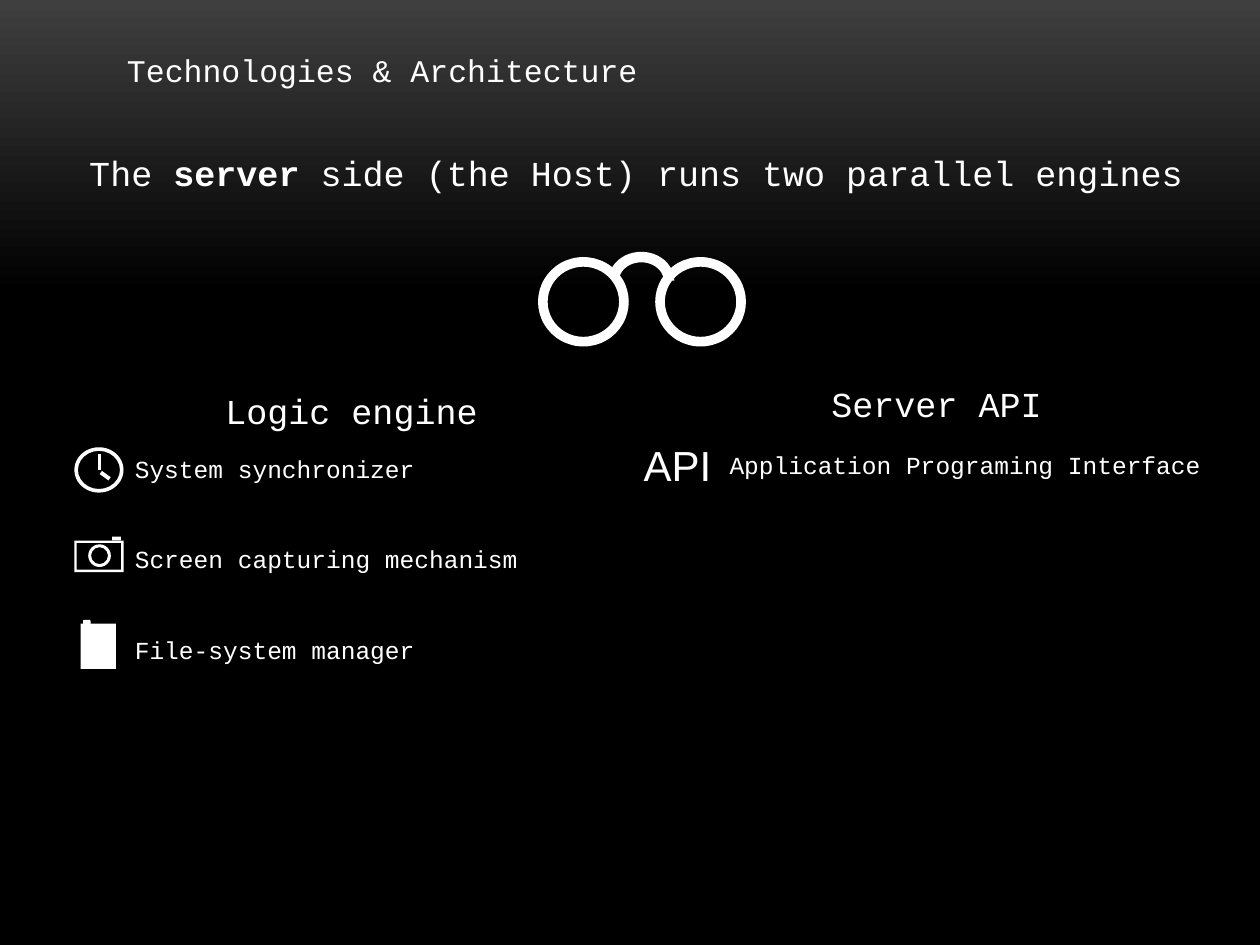
from pptx import Presentation
from pptx import util as u
from pptx.dml.color import RGBColor
from pptx.enum import shapes, text
from pptx.oxml.ns import qn
from lxml import etree

WHITE = "FFFFFF"
KIND = shapes.MSO_SHAPE


def rgb(value):
    return RGBColor.from_string(value)


def set_background(slide):
    fill = slide.background.fill
    fill.gradient()
    fill.gradient_angle = 270
    for stop, (position, color) in zip(fill.gradient_stops, [(0, "3F3F3F"), (0.31, "000000")]):
        stop.position = position
        stop.color.rgb = rgb(color)


def add_text(slide, box, paragraphs, size=14, font="Courier New", color=WHITE,
             wrap=True, indent=0, gap=0):
    """Add a text box; each paragraph is a list of (words, bold) runs or a string."""
    s = slide.shapes.add_textbox(*map(u.Inches, box))
    tf = s.text_frame
    tf.word_wrap = wrap
    tf.auto_size = text.MSO_AUTO_SIZE.SHAPE_TO_FIT_TEXT
    tf.margin_left = u.Inches(0.1 + indent)
    for i, runs in enumerate(paragraphs):
        p = tf.add_paragraph() if i else tf.paragraphs[0]
        p.space_before = u.Pt(gap if i else 0)
        for words, bold in [(runs, False)] if isinstance(runs, str) else runs:
            r = p.add_run()
            r.text = words
            r.font.name = font
            r.font.size = u.Pt(size)
            r.font.bold = bold
            r.font.color.rgb = rgb(color)


def add_solid(group, kind, box, adj=None):
    sp = group.shapes.add_shape(kind, *map(u.Inches, box))
    sp.shadow.inherit = False
    sp.fill.solid()
    sp.fill.fore_color.rgb = rgb(WHITE)
    sp.line.fill.background()
    if adj is not None:
        sp.adjustments[0] = adj


def add_line(group, start, end):
    ends = map(u.Inches, start + end)
    s = group.shapes.add_connector(shapes.MSO_CONNECTOR.STRAIGHT, *ends)
    s.line.color.rgb = rgb(WHITE)
    s.line.width = u.Pt(2.25)
    etree.SubElement(s._element.spPr, qn("a:effectLst"))


def add_glasses(group):
    for left in (5.2, 4.27):
        add_solid(group, KIND.DONUT, (left, 2.04, 0.72, 0.71), 0.108)
    bridge = group.shapes.add_shape(KIND.ARC, *map(u.Inches, (4.87, 2.04, 0.44, 0.38)))
    bridge.shadow.inherit = False
    bridge.fill.background()
    bridge.line.color.rgb = rgb(WHITE)
    bridge.line.width = u.Pt(6)
    # Arc angles are in units of 100000/60000 degrees
    bridge.adjustments[0] = 112.08
    bridge.adjustments[1] = 0


def add_clock(group):
    add_solid(group, KIND.DONUT, (0.59, 3.55, 0.39, 0.36), 0.079)
    add_line(group, (0.79, 3.6), (0.79, 3.73))
    add_line(group, (0.87, 3.8), (0.8, 3.75))


def add_camera(group):
    add_solid(group, KIND.FRAME, (0.59, 4.29, 0.39, 0.25), 0.073)
    add_solid(group, KIND.DONUT, (0.7, 4.32, 0.18, 0.18), 0.126)
    add_solid(group, KIND.RECTANGLE, (0.89, 4.26, 0.07, 0.03))


def add_folder(group):
    add_solid(group, KIND.RECTANGLE, (0.64, 4.95, 0.28, 0.36))
    add_solid(group, KIND.ROUNDED_RECTANGLE, (0.66, 4.92, 0.06, 0.13))


def main():
    prs = Presentation()
    prs.slide_width, prs.slide_height = u.Inches(10), u.Inches(7.5)
    slide = prs.slides.add_slide(prs.slide_layouts[6])
    set_background(slide)

    intro = [("The ", False), ("server", True),
             (" side (the Host) runs two parallel engines", False)]
    add_text(slide, (0.61, 1.15, 8.95, 1.25), [intro], size=20, wrap=False)
    add_text(slide, (0.91, 0.36, 4.27, 0.4), ["Technologies & Architecture"], size=18, wrap=False)
    add_text(slide, (1.69, 3.04, 2.31, 0.44), ["Logic engine"], size=20)
    add_text(slide, (6.5, 2.99, 2.31, 0.44), ["Server API"], size=20)

    parts = ["System synchronizer", "Screen capturing mechanism", "File-system manager"]
    add_text(slide, (0.62, 3.55, 5.25, 1.75), parts, indent=0.35, gap=35)
    add_text(slide, (5.34, 3.52, 4.66, 0.34), ["Application Programing Interface"], indent=0.35)
    add_text(slide, (5.01, 3.44, 0.86, 0.5), ["API"], size=24, font="Arial")

    for draw in (add_glasses, add_clock, add_camera, add_folder):
        draw(slide.shapes.add_group_shape())

    prs.save("out.pptx")


if __name__ == "__main__":
    main()
